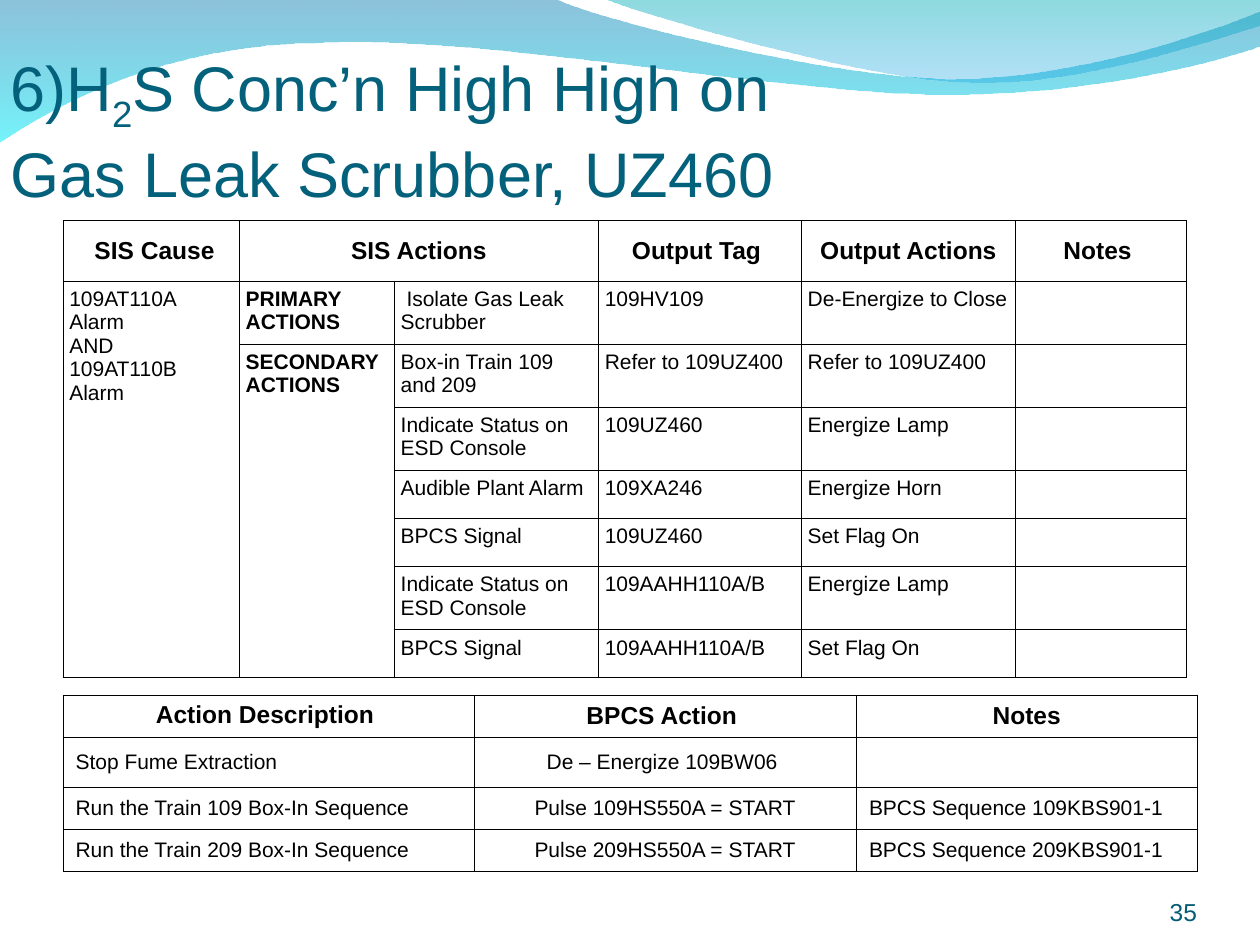
from dataclasses import dataclass

from lxml.etree import SubElement
from pptx import Presentation
from pptx.dml.color import RGBColor
from pptx.enum.text import MSO_ANCHOR as Anchor, MSO_AUTO_SIZE as AutoSize, PP_ALIGN as Align
from pptx.oxml.ns import qn
from pptx.util import Pt


@dataclass(frozen=True)
class Theme:
    font: str = "Arial"
    title: str = "04617B"
    number: str = "045C75"
    text: str = "000000"
    border: str = "000000"
    border_width: float = 0.45
    title_size: int = 36
    header_size: int = 14
    body_size: int = 12
    empty_size: int = 18
    # Gradient stops: colour and opacity in percent
    wide_wave: tuple = (("0079AF", 45), ("00EBF8", 55))
    right_wave: tuple = (("00ADB6", 45), ("009BE5", 30))


THEME = Theme()

# Each wave: start point, then lines (one point) and Bézier curves (three points)
WIDE_WAVE = [
    (0, -0.7), [(317, -0.7)],
    [(343, 12), (478, 45), (546, 45)],
    [(614, 45), (690, 19), (720, 6.5)],
    [(720.7, 26)],
    [(708, 32), (626, 55), (537, 54)],
    [(448, 54), (275, 20), (185, 24.5)],
    [(93, 25), (33, 60), (-0.7, 81.4)],
    [(0, -0.7)],
]
RIGHT_WAVE = [
    (345, -0.7),
    [(366, 8), (491, 45), (554, 47)],
    [(616, 49.7), (692, 23), (720, 15)],
    [(720, 0)],
    [(345, -0.7)],
]

ACTION_COLUMNS = [100.8, 88.6, 116.6, 116, 122.3, 97.8]
ACTION_ROWS = [34.5, 36, 36, 36.3, 24, 24, 36.3, 24]
ACTION_HEADERS = [" SIS Cause", "SIS Actions", "", "Output Tag ", "Output Actions", "Notes "]
CAUSE = "109AT110A Alarm\nAND\n109AT110B Alarm"
ACTIONS = [
    (" Isolate Gas Leak Scrubber", "109HV109", "De-Energize to Close"),
    ("Box-in Train 109 and 209", "Refer to 109UZ400", "Refer to 109UZ400"),
    ("Indicate Status on ESD Console", "109UZ460", "Energize Lamp"),
    ("Audible Plant Alarm", "109XA246", "Energize Horn"),
    ("BPCS Signal", "109UZ460", "Set Flag On"),
    ("Indicate Status on ESD Console", "109AAHH110A/B", "Energize Lamp"),
    ("BPCS Signal", "109AAHH110A/B", "Set Flag On"),
]

BPCS_COLUMNS = [234.8, 218.6, 194.6]
BPCS_ROWS = [24, 23.5, 24, 24]
BPCS = [
    ("Action Description ", "BPCS Action ", "Notes"),
    ("Stop Fume Extraction", "De – Energize 109BW06 ", ""),
    ("Run the Train 109 Box-In Sequence", "Pulse 109HS550A = START", "BPCS Sequence 109KBS901-1"),
    ("Run the Train 209 Box-In Sequence", "Pulse 209HS550A = START", "BPCS Sequence 209KBS901-1"),
]


def style_text(text_frame, size, color, align=Align.LEFT, bold=False):
    for paragraph in text_frame.paragraphs:
        paragraph.alignment = align
        for run in paragraph.runs:
            run.font.name = THEME.font
            run.font.size = Pt(size)
            run.font.bold = bold
            run.font.color.rgb = RGBColor.from_string(color)


def set_margins(target, left, top, right, bottom):
    target.margin_left, target.margin_top = Pt(left), Pt(top)
    target.margin_right, target.margin_bottom = Pt(right), Pt(bottom)


def bend_segments(shape, segments):
    """Turn each run of three straight steps into one Bézier curve."""
    steps = iter(list(shape.element.iter(qn("a:lnTo"))))
    for segment in segments:
        elements = [next(steps) for _ in segment]
        if len(elements) == 3:
            first, *others = elements
            first.tag = qn("a:cubicBezTo")
            for element in others:
                first.append(element[0])
                element.getparent().remove(element)


def add_wave(slide, outline, stops):
    start, *segments = outline
    points = [(Pt(x), Pt(y)) for segment in segments for x, y in segment]
    builder = slide.shapes.build_freeform(Pt(start[0]), Pt(start[1]))
    builder.add_line_segments(points, close=True)
    shape = builder.convert_to_shape()
    bend_segments(shape, segments)
    shape.shadow.inherit = False
    shape.line.fill.background()
    shape.fill.gradient()
    shape.fill.gradient_angle = 270
    for stop, (color, opacity) in zip(shape.fill.gradient_stops, stops):
        stop.color.rgb = RGBColor.from_string(color)
    color_elements = shape.element.spPr.iter(qn("a:srgbClr"))
    for element, (color, opacity) in zip(list(color_elements), stops):
        SubElement(element, qn("a:alpha"), val=str(opacity * 1000))


def add_title(slide, left, top, width, height):
    title = slide.shapes.title
    title.left, title.top, title.width, title.height = Pt(left), Pt(top), Pt(width), Pt(height)
    text_frame = title.text_frame
    text_frame.auto_size = AutoSize.NONE
    text_frame.word_wrap = True
    text_frame.vertical_anchor = Anchor.TOP
    set_margins(text_frame, 0, 3.6, 0, 0)
    paragraph = text_frame.paragraphs[0]
    for text in ("6)H", "2", "S Conc’n High High on "):
        paragraph.add_run().text = text
    paragraph.add_line_break()
    paragraph.add_run().text = "Gas Leak Scrubber, UZ460"
    style_text(text_frame, THEME.title_size, THEME.title)
    paragraph.runs[1].font._element.set("baseline", "-25000")


def add_grid(slide, left, top, columns, rows):
    """Add an unfilled table with thin borders on every cell."""
    frame = slide.shapes.add_table(
        len(rows), len(columns), Pt(left), Pt(top), Pt(sum(columns)), Pt(sum(rows)))
    table = frame.table
    table.first_row = table.horz_banding = False
    for column, width in zip(table.columns, columns):
        column.width = Pt(width)
    for row, height in zip(table.rows, rows):
        row.height = Pt(height)
    for cell in table.iter_cells():
        properties = cell._tc.get_or_add_tcPr()
        for side in ("lnL", "lnR", "lnT", "lnB"):
            line = SubElement(properties, qn(f"a:{side}"), w=str(Pt(THEME.border_width)))
            SubElement(SubElement(line, qn("a:solidFill")), qn("a:srgbClr"), val=THEME.border)
        cell.fill.background()
    return table


def fill_cell(cell, text, size, align, anchor, bold=False, left=7.2, right=7.2):
    if not text:
        paragraph = cell.text_frame.paragraphs[0]._p
        ending = SubElement(paragraph, qn("a:endParaRPr"), sz=str(THEME.empty_size * 100))
        SubElement(ending, qn("a:latin"), typeface=THEME.font)
        return
    cell.text_frame.text = text
    cell.vertical_anchor = anchor
    set_margins(cell, left, 3.6, right, 3.6)
    style_text(cell.text_frame, size, THEME.text, align, bold)


def add_action_table(slide, left, top):
    table = add_grid(slide, left, top, ACTION_COLUMNS, ACTION_ROWS)
    for first, last in (((0, 1), (0, 2)), ((1, 0), (7, 0)), ((2, 1), (7, 1))):
        table.cell(*first).merge(table.cell(*last))
    for index, header in enumerate(ACTION_HEADERS):
        margin = 3.6 if index > 3 else 7.2
        fill_cell(table.cell(0, index), header, THEME.header_size, Align.CENTER,
                  Anchor.MIDDLE, True, margin, margin)
    groups = {1: (CAUSE, "PRIMARY ACTIONS"), 2: ("", "SECONDARY ACTIONS")}
    for row, action in enumerate(ACTIONS, 1):
        for column, text in enumerate((*groups.get(row, ("", "")), *action, "")):
            fill_cell(table.cell(row, column), text, THEME.body_size, Align.LEFT, Anchor.TOP,
                      column == 1, 3.6, 3.6 if column == 4 else 7.2)


def add_bpcs_table(slide, left, top):
    table = add_grid(slide, left, top, BPCS_COLUMNS, BPCS_ROWS)
    for row, texts in enumerate(BPCS):
        header = row == 0
        for column, text in enumerate(texts):
            fill_cell(table.cell(row, column), text,
                      THEME.header_size if header else THEME.body_size,
                      Align.CENTER if header or column == 1 else Align.LEFT,
                      Anchor.TOP if header and column == 0 else Anchor.MIDDLE, header)


def add_slide_number(slide, left, top, width, height):
    text_frame = slide.shapes.add_textbox(Pt(left), Pt(top), Pt(width), Pt(height)).text_frame
    text_frame.word_wrap = True
    text_frame.vertical_anchor = Anchor.BOTTOM
    set_margins(text_frame, 0, 0, 0, 0)
    text_frame.text = "35"
    style_text(text_frame, THEME.header_size, THEME.number, Align.RIGHT)


def main():
    presentation = Presentation()
    presentation.slide_width, presentation.slide_height = Pt(720), Pt(540)
    slide = presentation.slides.add_slide(presentation.slide_layouts[5])
    add_wave(slide, WIDE_WAVE, THEME.wide_wave)
    add_wave(slide, RIGHT_WAVE, THEME.right_wave)
    title = slide.shapes.title.element
    title.getparent().append(title)
    add_title(slide, 6, 24, 648, 90)
    add_action_table(slide, 36, 126)
    add_slide_number(slide, 624, 500.5, 60, 28.8)
    add_bpcs_table(slide, 36, 397.2)
    presentation.save("out.pptx")


if __name__ == "__main__":
    main()
